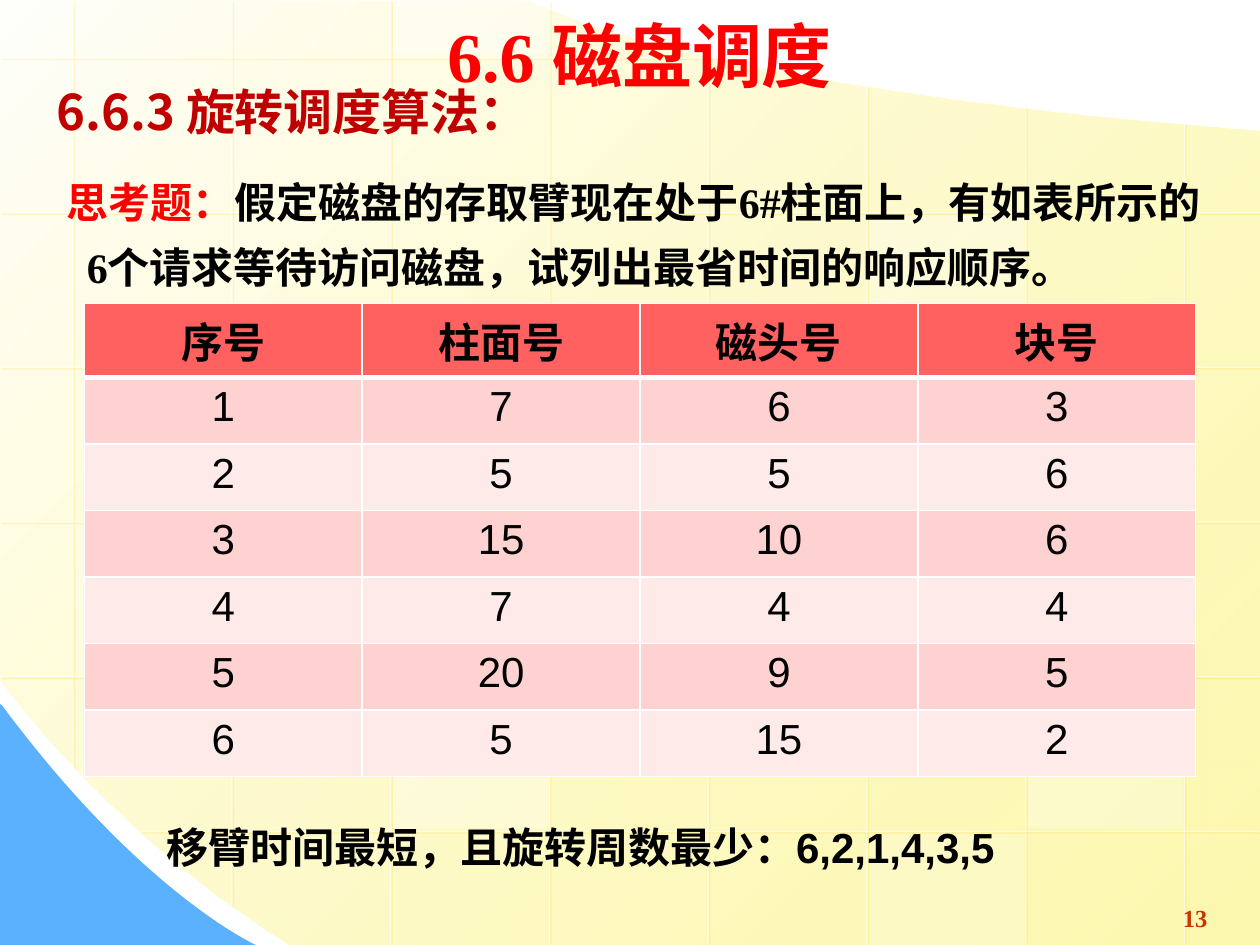
import pptx
import pptx.dml.color
import pptx.enum.shapes
import pptx.enum.text
import pptx.oxml
import pptx.oxml.ns
import pptx.util

COLORS = {
    "white": "FFFFFF", "cream": "FFFFFB", "yellow": "FDF58D", "blue": "5CB1FE",
    "gold": "FFCC00", "red": "FF0000", "dark red": "C00000", "brick": "CC3300",
    "black": "000000", "header": "FF6161", "odd row": "FFD2D2", "even row": "FFEAEA",
}
SERIF, SANS, CJK = "Times New Roman", "Arial", "Noto Sans CJK SC"
WIDTH, HEIGHT = pptx.util.Inches(10), pptx.util.Inches(7.5)
# Background grid, in percent of the slide
COLUMN_START, COLUMN_STEP = 5.8, 12.6
ROW_START, ROW_STEP = 6.13, 16.37
COLUMN_SPANS = [(0, 81.2), (0, 95.87), (0, 100), (0, 100),
                (5.73, 100), (9.07, 100), (11.33, 100), (13.07, 100)]
ROW_SPANS = [(0, 56.8)] + [(0, 100)] * 4 + [(11.1, 100)]
# Column, row and opacity of the pale tiles
TILES = [(3, 2, 25), (6, 4, 30), (0, 3, 20), (5, 5, 20),
         (2, -1, 40), (2, 4, 30), (5, 1, 30)]
REQUESTS = [
    ("序号", "柱面号", "磁头号", "块号"),
    (1, 7, 6, 3), (2, 5, 5, 6), (3, 15, 10, 6),
    (4, 7, 4, 4), (5, 20, 9, 5), (6, 5, 15, 2),
]


def rgb(name):
    return pptx.dml.color.RGBColor.from_string(COLORS[name])


def point(x, y):
    """Turn percentages of the slide into a position or size."""
    return round(WIDTH * x / 100), round(HEIGHT * y / 100)


def xml(markup):
    return pptx.oxml.parse_xml(
        markup.replace(" ", f" {pptx.oxml.ns.nsdecls('a')} ", 1))


def set_opacity(shape, percent):
    """Apply to the last colour defined on the shape."""
    color = list(shape._element.iter(pptx.oxml.ns.qn("a:srgbClr")))[-1]
    color.append(xml(f'<a:alpha val="{percent * 1000}"/>'))


def curve(start, control_1, control_2, end, steps=40):
    """Points along a cubic curve, without its start."""
    for step in range(1, steps + 1):
        t = step / steps
        weights = ((1 - t) ** 3, 3 * t * (1 - t) ** 2, 3 * t * t * (1 - t), t ** 3)
        yield tuple(sum(w * p[axis] for w, p in
                        zip(weights, (start, control_1, control_2, end)))
                    for axis in (0, 1))


def add_outline(slide, points):
    vertices = [point(*p) for p in points]
    builder = slide.shapes.build_freeform(*vertices[0])
    builder.add_line_segments(vertices[1:], close=True)
    outline = builder.convert_to_shape()
    outline.line.fill.background()
    outline.shadow.inherit = False
    return outline


def add_backdrop(slide):
    left_end, top_end, corner = (0, 71.87), (42.1, 0.13), (100, 13.87)
    paper = add_outline(slide, [
        corner, (100, 100), (23, 100),
        *curve((23, 100), (8.6, 88.13), left_end, left_end),
        (0, 0), top_end, *curve(top_end, top_end, (53.7, 9.2), corner)])
    paper.fill.gradient()
    paper.fill.gradient_angle = 315
    for stop, name in zip(paper.fill.gradient_stops, ("cream", "yellow")):
        stop.color.rgb = rgb(name)
    set_opacity(paper, 70)

    wave_end = (20.3, 100)
    wave = add_outline(slide, [
        (0, 74.53), (0, 100), wave_end,
        *curve(wave_end, wave_end, (11.2, 94.53), (0.1, 74.53))])
    wave.fill.solid()
    wave.fill.fore_color.rgb = rgb("blue")


def add_grid_line(group, start, end):
    line = group.shapes.add_connector(
        pptx.enum.shapes.MSO_CONNECTOR.STRAIGHT, *point(*start), *point(*end))
    line.line.color.rgb = rgb("white")
    line.line.width = pptx.util.Pt(0.75)
    set_opacity(line, 50)
    line._element.spPr.append(xml(
        '<a:effectLst ><a:outerShdw blurRad="0" dist="17780" dir="2700000">'
        f'<a:srgbClr val="{COLORS["gold"]}"><a:alpha val="34000"/></a:srgbClr>'
        '</a:outerShdw></a:effectLst>'))


def add_grid(slide):
    group = slide.shapes.add_group_shape()
    for column, (top, bottom) in enumerate(COLUMN_SPANS):
        x = COLUMN_START + column * COLUMN_STEP
        add_grid_line(group, (x, top), (x, bottom))
    for row, (left, right) in enumerate(ROW_SPANS):
        y = ROW_START + row * ROW_STEP
        add_grid_line(group, (right, y), (left, y))


def add_tile(slide, column, row, opacity):
    left = COLUMN_START + column * COLUMN_STEP + 0.2
    grid_top = ROW_START + row * ROW_STEP + 0.27
    top, bottom = max(grid_top, 0), min(grid_top + 15.73, 100)
    tile = slide.shapes.add_shape(
        pptx.enum.shapes.MSO_SHAPE.RECTANGLE,
        *point(left, top), *point(12.3, bottom - top))
    tile.fill.solid()
    tile.fill.fore_color.rgb = rgb("white")
    set_opacity(tile, opacity)
    tile.line.fill.background()
    tile.shadow.inherit = False


def add_run(paragraph, text, size, font, color, bold=True):
    run = paragraph.add_run()
    run.text = text
    run.font.size = pptx.util.Pt(size)
    run.font.bold = bold
    run.font.color.rgb = rgb(color)
    run.font.name = font
    run._r.get_or_add_rPr().append(xml(f'<a:ea typeface="{CJK}"/>'))


def fill_placeholder(slide, placeholder, box, runs, hanging=False):
    """Place a placeholder above the backdrop and write its runs."""
    slide.shapes._spTree.append(placeholder._element)
    placeholder.left, placeholder.top = point(*box[:2])
    placeholder.width, placeholder.height = point(*box[2:])
    frame = placeholder.text_frame
    frame.word_wrap = True
    frame.auto_size = pptx.enum.text.MSO_AUTO_SIZE.NONE
    frame.vertical_anchor = pptx.enum.text.MSO_ANCHOR.TOP
    paragraph = frame.paragraphs[0]
    paragraph.alignment = pptx.enum.text.PP_ALIGN.LEFT
    paragraph.space_before = pptx.util.Pt(0)
    if hanging:
        properties = paragraph._p.get_or_add_pPr()
        properties.set("marL", str(pptx.util.Inches(0.16)))
        properties.set("indent", str(pptx.util.Inches(-0.37)))
        properties.append(xml("<a:buNone />"))
        paragraph.line_spacing = 1.3
    for run in runs:
        add_run(paragraph, *run)


def add_label(slide, box, *run):
    label = slide.shapes.add_textbox(*point(*box[:2]), *point(*box[2:]))
    label.text_frame.word_wrap = True
    add_run(label.text_frame.paragraphs[0], *run)


def set_borders(cell, bottom_width):
    properties = cell._tc.get_or_add_tcPr()
    for index, (side, width) in enumerate(
            (("L", 1), ("R", 1), ("T", 1), ("B", bottom_width))):
        properties.insert(index, xml(
            f'<a:ln{side} w="{pptx.util.Pt(width)}"><a:solidFill>'
            f'<a:srgbClr val="{COLORS["white"]}"/></a:solidFill></a:ln{side}>'))


def add_request_table(slide):
    table = slide.shapes.add_table(
        len(REQUESTS), len(REQUESTS[0]),
        *point(6.7, 32.13), *point(88.2, 49.33)).table
    for row, values in enumerate(REQUESTS):
        is_header = row == 0
        fill = "header" if is_header else ("even row", "odd row")[row % 2]
        for column, value in enumerate(values):
            cell = table.cell(row, column)
            cell.fill.solid()
            cell.fill.fore_color.rgb = rgb(fill)
            set_borders(cell, 3 if is_header else 1)
            paragraph = cell.text_frame.paragraphs[0]
            paragraph.alignment = pptx.enum.text.PP_ALIGN.CENTER
            add_run(paragraph, str(value), 24, SANS, "black", is_header)


def main():
    deck = pptx.Presentation()
    deck.slide_width, deck.slide_height = WIDTH, HEIGHT
    slide = deck.slides.add_slide(deck.slide_layouts[1])
    title, question = slide.placeholders
    add_backdrop(slide)
    add_grid(slide)
    for tile in TILES:
        add_tile(slide, *tile)
    add_label(slide, (92.9, 94.93, 4.1, 5.07), "13", 14, SERIF, "brick")
    fill_placeholder(slide, question, (4.3, 16.4, 92.6, 15.33), [
        ("思考题：", 24, SERIF, "red"),
        ("假定磁盘的存取臂现在处于6#柱面上，有如表所示的6个请求等待访问磁盘，"
         "试列出最省时间的响应顺序。", 24, SERIF, "black")], hanging=True)
    add_label(slide, (3.5, 8, 40.9, 7.6), "6.6.3 旋转调度算法：", 28, CJK, "dark red")
    fill_placeholder(slide, title, (34.5, 0.67, 51.7, 10.27),
                     [("6.6 磁盘调度", 40, SERIF, "red")])
    add_request_table(slide)
    add_label(slide, (12.2, 86.27, 78, 6.67),
              "移臂时间最短，且旋转周数最少：6,2,1,4,3,5", 24, SANS, "black")
    deck.save("out.pptx")


if __name__ == "__main__":
    main()
